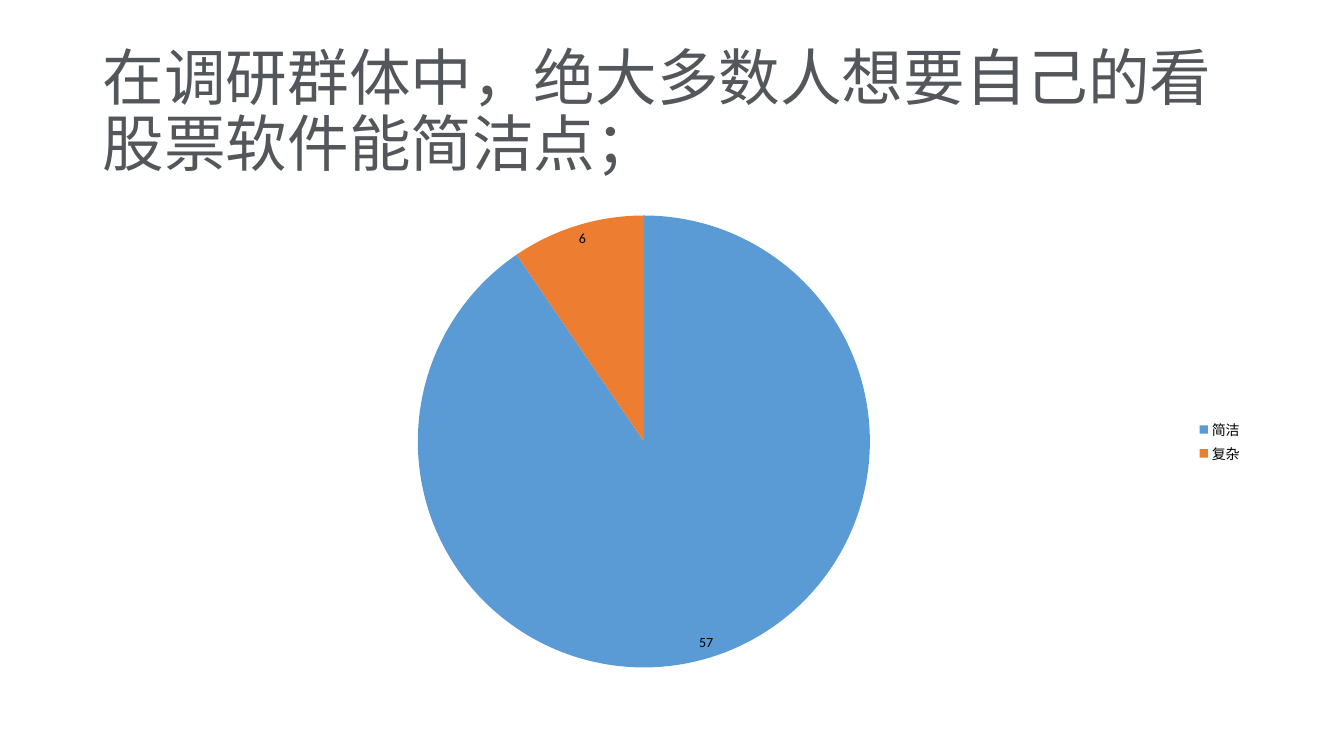
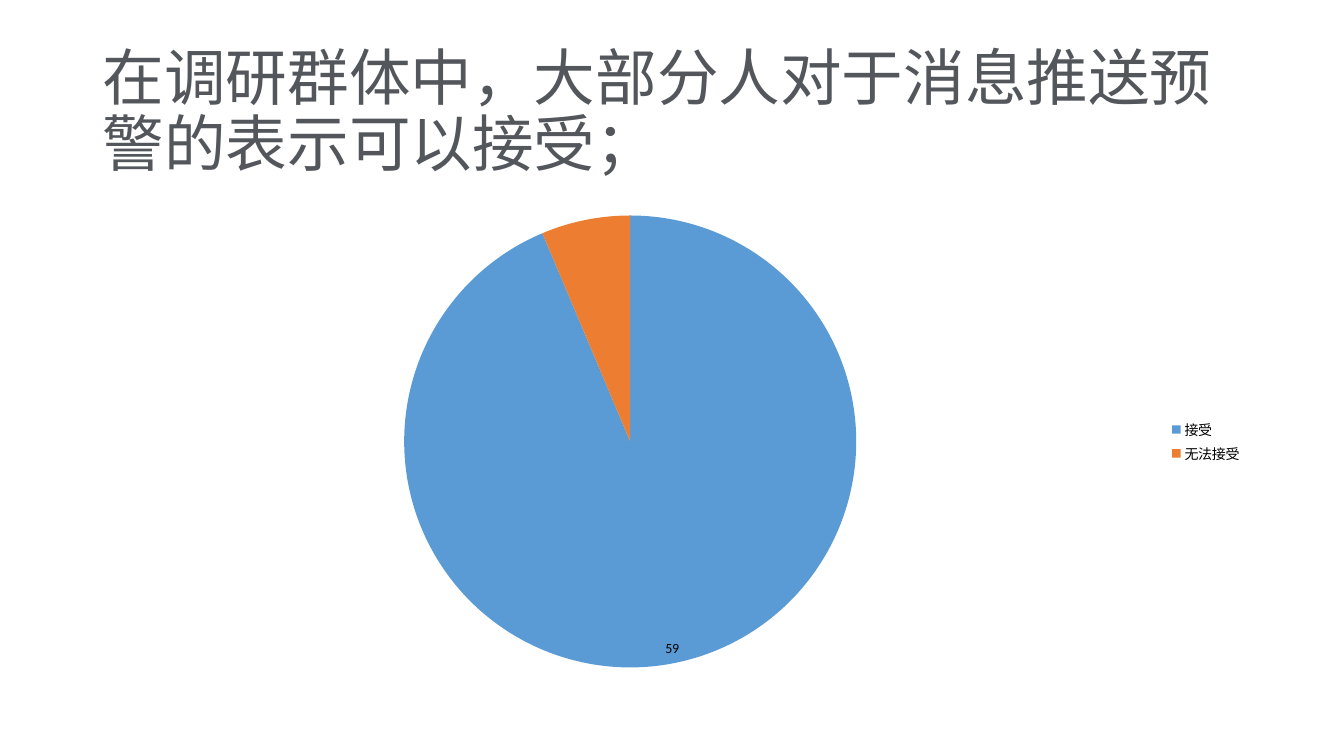
from lxml import etree
from pptx import Presentation
from pptx.chart.data import CategoryChartData
from pptx.dml.color import RGBColor
from pptx.enum.chart import XL_CHART_TYPE, XL_LABEL_POSITION, XL_LEGEND_POSITION
from pptx.enum.text import MSO_ANCHOR
from pptx.oxml.ns import qn
from pptx.util import Inches, Pt

SURVEYS = [
    {
        "title": "在调研群体中，绝大多数人想要自己的看股票软件能简洁点；",
        "answers": {"简洁": 57, "复杂": 6},
        "labelled": ["简洁", "复杂"],
    },
    {
        "title": "在调研群体中，大部分人对于消息推送预警的表示可以接受；",
        "answers": {"接受": 59, "无法接受": 4},
        "labelled": ["接受"],
    },
]

PIE = XL_CHART_TYPE.PIE
BEST_FIT = XL_LABEL_POSITION.BEST_FIT
RIGHT = XL_LEGEND_POSITION.RIGHT
MIDDLE = MSO_ANCHOR.MIDDLE

TITLE_GREY = RGBColor(0x53, 0x57, 0x5C)
BLACK = RGBColor(0, 0, 0)
SLICE_COLOURS = [RGBColor(0x5B, 0x9B, 0xD5), RGBColor(0xED, 0x7D, 0x31)]

TITLE_FORMAT = {"name": "Noto Sans CJK SC", "size": Pt(44), "bold": False}
CHART_FORMAT = {"name": "Calibri", "size": Pt(10), "bold": False}

LEFT, WIDTH = Inches(0.92), Inches(11.5)
TITLE_TOP, TITLE_HEIGHT = Inches(0.4), Inches(1.45)
CHART_TOP, CHART_HEIGHT = Inches(2), Inches(4.76)


def style_font(font, values, colour):
    for key, value in values.items():
        setattr(font, key, value)
    font.color.rgb = colour


def add_title(slide, wording):
    frame = slide.shapes.add_textbox(LEFT, TITLE_TOP, WIDTH, TITLE_HEIGHT).text_frame
    frame.word_wrap = True
    frame.vertical_anchor = MIDDLE
    paragraph = frame.paragraphs[0]
    paragraph.line_spacing = 0.9
    run = paragraph.add_run()
    run.text = wording
    style_font(run.font, TITLE_FORMAT, TITLE_GREY)
    east_asian = etree.SubElement(run.font._element, qn("a:ea"))
    east_asian.set("typeface", TITLE_FORMAT["name"])


def add_pie(slide, answers, labelled):
    data = CategoryChartData()
    data.categories = list(answers)
    data.add_series("Series 1", list(answers.values()))
    chart = slide.shapes.add_chart(
        PIE, LEFT, CHART_TOP, WIDTH, CHART_HEIGHT, data
    ).chart
    style_font(chart.font, CHART_FORMAT, BLACK)
    chart.has_title = False
    chart.has_legend = True
    chart.legend.position = RIGHT
    chart.legend.include_in_layout = False
    style_font(chart.legend.font, CHART_FORMAT, BLACK)

    pie = chart.plots[0]
    pie.vary_by_categories = True
    series = pie.series[0]
    series.data_labels.show_value = False
    for index, (answer, colour) in enumerate(zip(answers, SLICE_COLOURS)):
        point = series.points[index]
        point.format.fill.solid()
        point.format.fill.fore_color.rgb = colour
        if answer in labelled:
            style_font(point.data_label.font, CHART_FORMAT, BLACK)
            point.data_label.position = BEST_FIT


deck = Presentation()
deck.slide_width, deck.slide_height = Inches(13.33), Inches(7.5)
blank = deck.slide_layouts[6]
for survey in SURVEYS:
    page = deck.slides.add_slide(blank)
    add_title(page, survey["title"])
    add_pie(page, survey["answers"], survey["labelled"])
deck.save("out.pptx")
